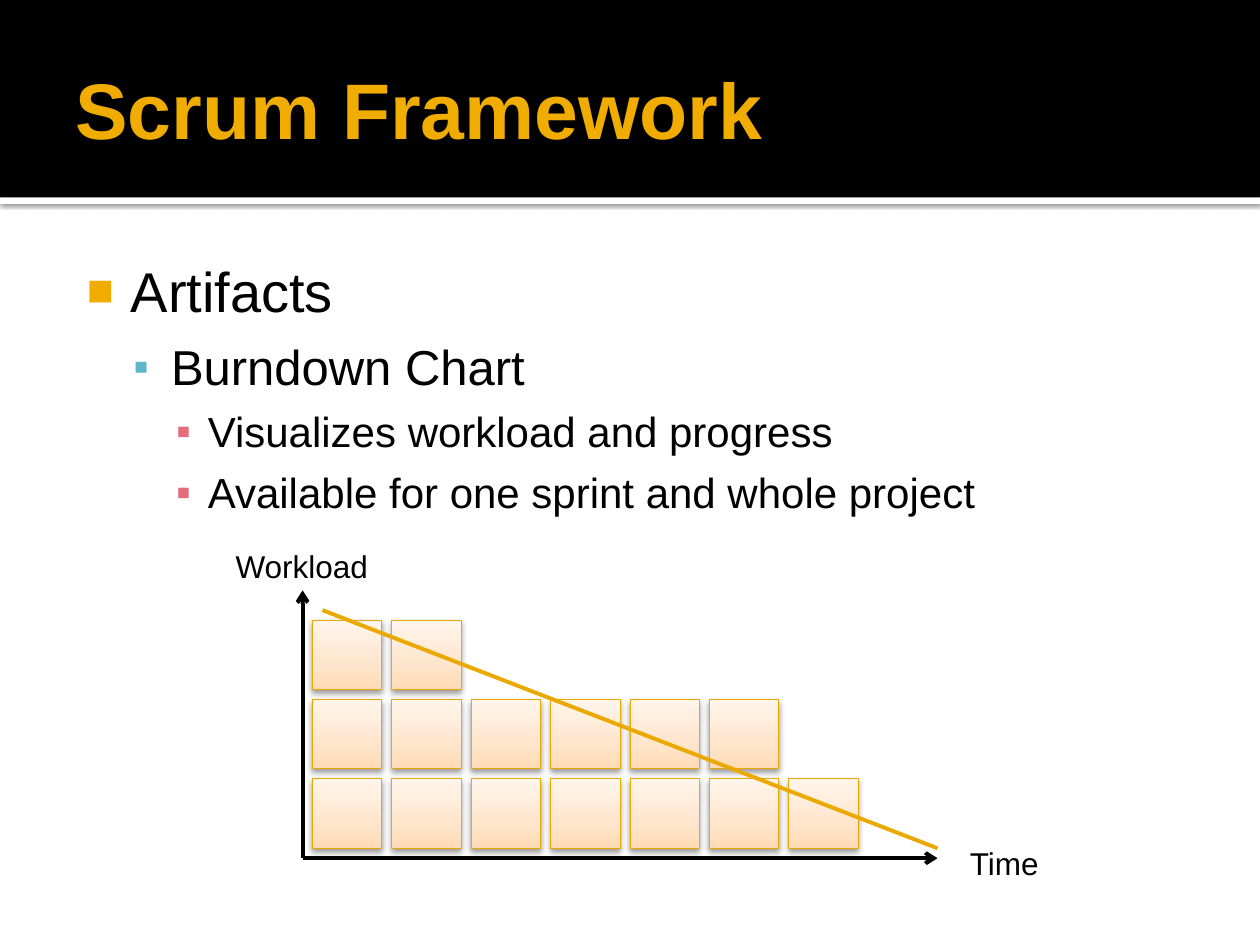
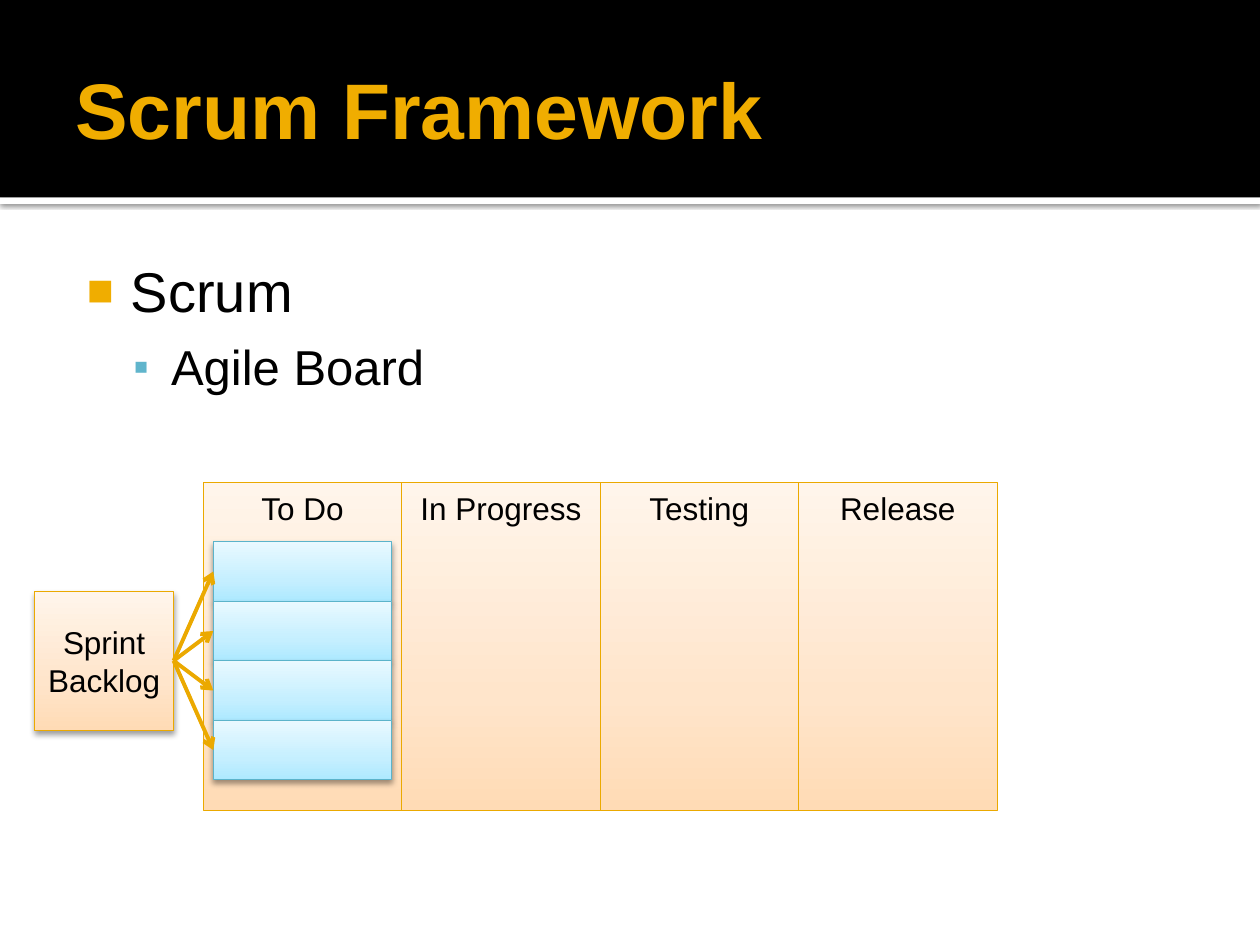
"""Build two slides on the Scrum framework: a burndown chart and an agile board."""
from copy import deepcopy

from lxml import etree
from pptx import Presentation
from pptx import util as u
from pptx.dml.color import RGBColor
from pptx.enum import shapes, text
from pptx.oxml.ns import qn

FONT = "Arial"
HUES = {
    "white": "FFFFFF", "black": "000000", "title": "F0AD00", "gold": "EBA900",
    "sky": "60B5CC", "rose": "E66C7D", "teal": "5BB3CA",
}
FADES = {
    "peach": ((0, "FFDBB5"), (0.35, "FFE5CB"), (1, "FFF5EB")),
    "ice": ((0, "ADE9FF"), (0.35, "C5EFFF"), (1, "E9F9FF")),
}
LEVELS = (
    dict(mark="■", hue="title", scale=80, left=1.22, hang=0.89, size=32, gap=0),
    dict(mark="▪", hue="sky", scale=90, left=2.03, hang=0.76, size=28, gap=7),
    dict(mark="▪", hue="rose", scale=100, left=2.77, hang=0.64, size=24, gap=6),
)
SOFT = dict(blur=3.5, dist=2, alpha=38)
BAND = dict(blur=2.5, dist=0.8, alpha=60)


def rgb(hue):
    return RGBColor.from_string(HUES[hue])


def sub(node, tag, **attrs):
    child = etree.SubElement(node, qn(tag))
    for key, val in attrs.items():
        child.set(key, str(val))
    return child


def write(para, words, size=18, hue="black", bold=False, align=text.PP_ALIGN.LEFT, gap=0):
    para.text = words
    para.alignment = align
    para.space_before = u.Pt(gap)
    font = para.font
    font.name, font.size, font.bold = FONT, u.Pt(size), bold
    font.color.rgb = rgb(hue)


def fill_text(frame, words, **style):
    for i, line in enumerate(words.split("\n")):
        write(frame.add_paragraph() if i else frame.paragraphs[0], line, **style)


def inset(frame, left, top, right, low):
    frame.margin_left, frame.margin_top = u.Cm(left), u.Cm(top)
    frame.margin_right, frame.margin_bottom = u.Cm(right), u.Cm(low)


def shade(shape, blur, dist, alpha):
    cast = sub(shape.element.spPr.find(qn("a:effectLst")), "a:outerShdw",
               blurRad=u.Pt(blur), dist=u.Pt(dist), dir=5400000, rotWithShape=0)
    tint = sub(cast, "a:srgbClr", val=HUES["black"])
    sub(tint, "a:alpha", val=alpha * 1000)


def rect(slide, x, y, w, h):
    shape = slide.shapes.add_shape(shapes.MSO_SHAPE.RECTANGLE, u.Cm(x), u.Cm(y), u.Cm(w), u.Cm(h))
    shape.shadow.inherit = False
    return shape


def band(slide, y, h, hue):
    shape = rect(slide, 0, y, 25.4, h)
    shape.fill.solid()
    shape.fill.fore_color.rgb = rgb(hue)
    shape.line.fill.background()
    return shape


def tile(slide, x, y, w, h, fade="peach", edge="gold", soft=True):
    shape = rect(slide, x, y, w, h)
    shape.fill.gradient()
    shape.fill.gradient_angle = 90
    stops = shape.element.spPr.find(".//" + qn("a:gsLst"))
    stops.append(deepcopy(stops[-1]))
    for stop, (place, tint) in zip(shape.fill.gradient_stops, FADES[fade]):
        stop.position = place
        stop.color.rgb = RGBColor.from_string(tint)
    shape.line.color.rgb = rgb(edge)
    shape.line.width = u.Pt(0.5)
    if soft:
        shade(shape, **SOFT)
    return shape


def label(shape, words, anchor):
    frame = shape.text_frame
    frame.word_wrap = True
    frame.vertical_anchor = anchor
    fill_text(frame, words, align=text.PP_ALIGN.CENTER)


def note(slide, x, y, w, words):
    frame = slide.shapes.add_textbox(u.Cm(x), u.Cm(y), u.Cm(w), u.Cm(1.02)).text_frame
    frame.word_wrap = False
    frame.auto_size = text.MSO_AUTO_SIZE.SHAPE_TO_FIT_TEXT
    fill_text(frame, words)


def line(slide, start, end, hue="gold", arrow=True):
    link = slide.shapes.add_connector(shapes.MSO_CONNECTOR.STRAIGHT, *map(u.Cm, start + end))
    link.line.color.rgb = rgb(hue)
    link.line.width = u.Pt(2.25)
    if arrow:
        sub(link.element.spPr.find(qn("a:ln")), "a:tailEnd", type="arrow")
    sub(link.element.spPr, "a:effectLst")


def head(slide, words):
    title = slide.shapes.title
    title.left, title.top, title.width, title.height = map(u.Cm, (1.27, 0.43, 22.86, 3.48))
    frame = title.text_frame
    frame.word_wrap = True
    frame.auto_size = text.MSO_AUTO_SIZE.NONE
    frame.vertical_anchor = text.MSO_ANCHOR.MIDDLE
    inset(frame, 0.25, 0.13, 0.13, 0.13)
    fill_text(frame, words, size=45, hue="title", bold=True)


def outline(slide, items):
    box = slide.shapes.add_textbox(u.Cm(1.27), u.Cm(4.93), u.Cm(22.86), u.Cm(12.85))
    frame = box.text_frame
    frame.word_wrap = True
    inset(frame, 0.15, 0.25, 0.25, 0.13)
    for i, (level, words) in enumerate(items):
        look = LEVELS[level]
        para = frame.add_paragraph() if i else frame.paragraphs[0]
        para.level = level
        props = para._p.get_or_add_pPr()
        props.set("marL", str(u.Cm(look["left"])))
        props.set("indent", str(-u.Cm(look["hang"])))
        sub(sub(props, "a:buClr"), "a:srgbClr", val=HUES[look["hue"]])
        sub(props, "a:buSzPct", val=look["scale"] * 1000)
        sub(props, "a:buFont", typeface=FONT)
        sub(props, "a:buChar", char=look["mark"])
        write(para, words, size=look["size"], gap=look["gap"])


def brand(layout, slide):
    """Draw the bands and move them to the layout, so that every slide shows them."""
    strip = band(slide, 3.98, 0.13, "white")
    shade(strip, **BAND)
    bar = band(slide, 0, 3.98, "black")
    for i, shape in enumerate((strip, bar)):
        layout.shapes.element.insert(2 + i, shape.element)


def burndown(slide):
    outline(slide, ((0, "Artifacts"), (1, "Burndown Chart"),
                    (2, "Visualizes workload and progress"),
                    (2, "Available for one sprint and whole project")))
    origin = (6.1, 17.3)
    line(slide, origin, (18.9, 17.3), "black")
    line(slide, origin, (6.1, 11.9), "black")
    for col, count in enumerate((3, 3, 2, 2, 2, 2, 1)):
        for row in range(count):
            tile(slide, 6.3 + 1.6 * col, 15.7 - 1.6 * row, 1.4, 1.4)
    note(slide, 19.3, 16.9, 1.9, "Time")
    note(slide, 4.5, 10.9, 3.2, "Workload")
    line(slide, (6.5, 12.3), (18.9, 17.1), arrow=False)


def board(slide):
    outline(slide, ((0, "Scrum"), (1, "Agile Board")))
    for i, stage in enumerate(("To Do", "In Progress", "Testing", "Release")):
        label(tile(slide, 4.1 + 4 * i, 9.73, 4, 6.6, soft=False), stage, text.MSO_ANCHOR.TOP)
    tops = [10.92 + 1.2 * i for i in range(4)]
    for top in tops:
        tile(slide, 4.3, top, 3.6, 1.2, "ice", "teal")
    label(tile(slide, 0.7, 11.92, 2.8, 2.8), "Sprint\nBacklog", text.MSO_ANCHOR.MIDDLE)
    for top in tops:
        line(slide, (3.5, 13.32), (4.3, top + 0.6))


def main():
    deck = Presentation()
    deck.slide_width, deck.slide_height = u.Cm(25.4), u.Cm(19.05)
    layout = deck.slide_layouts[5]
    for i, draw in enumerate((burndown, board)):
        slide = deck.slides.add_slide(layout)
        if i == 0:
            brand(layout, slide)
        head(slide, "Scrum Framework")
        draw(slide)
    deck.save("out.pptx")


if __name__ == "__main__":
    main()
